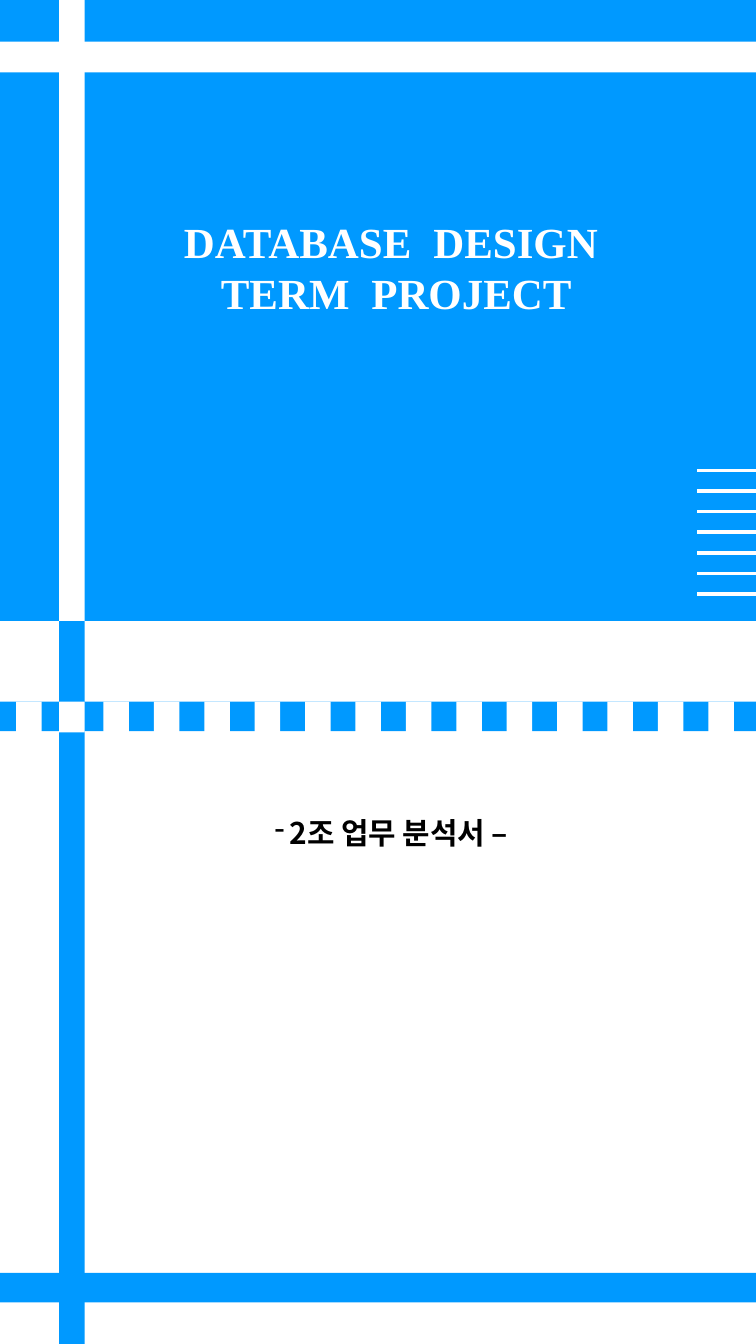
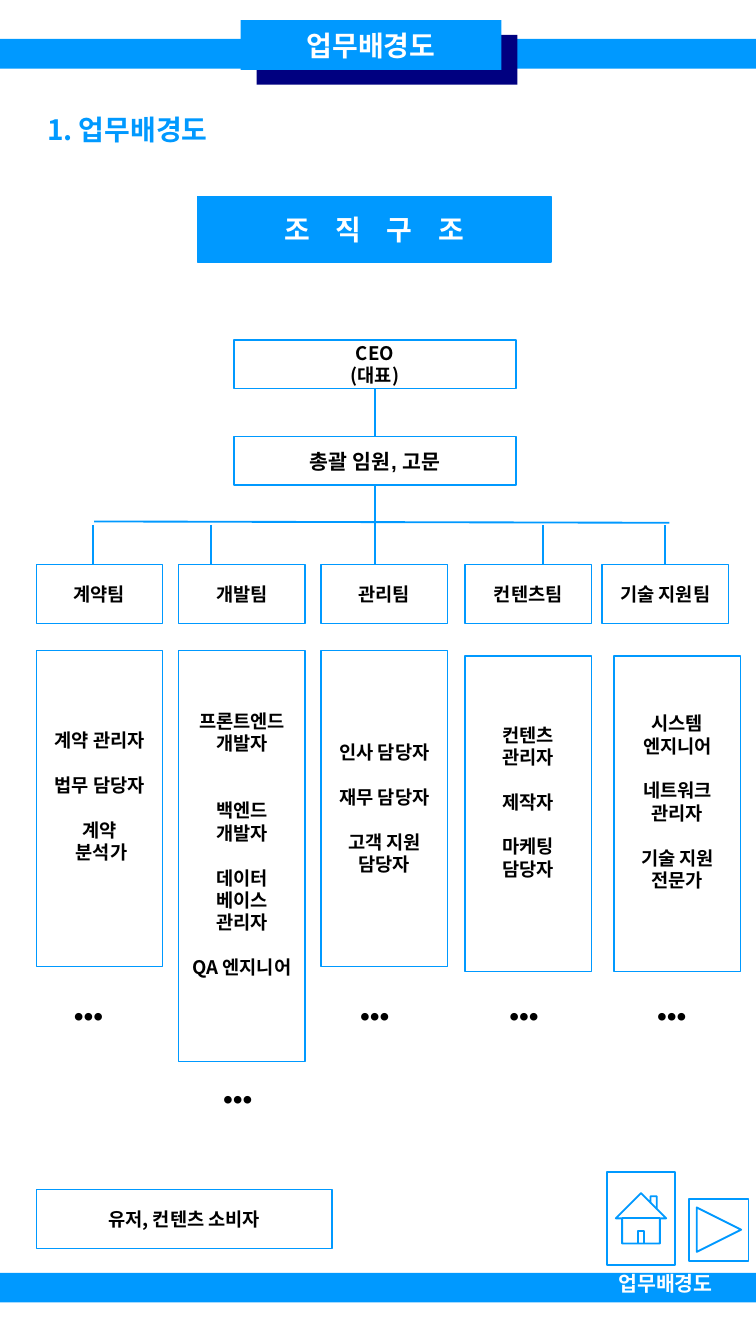
from dataclasses import dataclass

from lxml import etree
from pptx import Presentation
from pptx.dml.color import RGBColor
from pptx.enum.shapes import MSO_CONNECTOR, MSO_SHAPE as Shape
from pptx.enum.text import MSO_ANCHOR as Anchor, MSO_AUTO_SIZE, PP_ALIGN as Align
from pptx.oxml.ns import qn
from pptx.util import Inches, Pt


@dataclass(frozen=True)
class Theme:
    blue: str = "0099FF"
    navy: str = "000080"
    white: str = "FFFFFF"
    black: str = "000000"
    korean: str = "Noto Sans CJK KR"
    serif: str = "Times New Roman"
    sans: str = "Arial"
    cover: int = 23
    subtitle: int = 16
    heading: int = 15
    label: int = 11
    body: int = 10
    leading: float = 1.2


theme = Theme()
HEIGHT = 10
WIDTH = HEIGHT * 9 / 16
BAND_HEIGHT = 0.22
FOOTER_TOP = 9.47

COVER_TITLE = ["DATABASE DESIGN ", "TERM PROJECT"]
COVER_SUBTITLE = "2조 업무 분석서 –"
SECTION = "업무배경도"
CHART_TITLE = "조 직 구 조"
CONSUMERS = "유저, 컨텐츠 소비자"
DOTS = "•••"

LEADERS = [
    # top, lines, face, size
    (2.53, ["CEO", "(대표)"], theme.korean, theme.body),
    (3.25, ["총괄 임원, 고문"], theme.sans, theme.label),
]

# Each role is its text and the number of free lines above it.
TEAMS = [
    {"name": "계약팀", "left": 0.27, "drop": 0.69, "list": (0.27, 4.84, 2.35),
     "dots": (0.47, 7.39), "foot": 0.22,
     "roles": [("계약 관리자", 0), ("법무 담당자", 1), ("계약", 1), (" 분석가", 0)]},
    {"name": "개발팀", "left": 1.33, "drop": 1.57, "list": (1.33, 4.84, 3.06),
     "dots": (1.58, 8.01), "foot": 0.22,
     "roles": [("프론트엔드 개발자", 0), ("백엔드 개발자", 2),
               ("데이터 베이스 관리자", 1), ("QA 엔지니어", 1)]},
    {"name": "관리팀", "left": 2.39, "drop": None, "list": (2.39, 4.84, 2.35),
     "dots": (2.6, 7.39), "foot": 0.04,
     "roles": [("인사 담당자", 0), ("재무 담당자", 1), ("고객 지원 담당자", 1)]},
    {"name": "컨텐츠팀", "left": 3.46, "drop": 4.04, "list": (3.46, 4.88, 2.35),
     "dots": (3.71, 7.39), "foot": 0.22,
     "roles": [("컨텐츠 관리자", 0), ("제작자", 1), ("마케팅 담당자", 1)]},
    {"name": "기술 지원팀", "left": 4.48, "drop": 4.95, "list": (4.57, 4.88, 2.35),
     "dots": (4.81, 7.39), "foot": 0.22,
     "roles": [("시스템 엔지니어", 0), ("네트워크 관리자", 1), ("기술 지원 전문가", 1)]},
]
TEAM_WIDTH, TEAM_HEIGHT, TEAM_TOP = 0.94, 0.44, 4.2
DROP_TOP = 3.91
LEADER_LEFT, LEADER_WIDTH, LEADER_HEIGHT = 1.74, 2.1, 0.36
TRUNK = LEADER_LEFT + LEADER_WIDTH / 2


def inches(*lengths):
    return [Inches(length) for length in lengths]


def set_all(target, values):
    for name, value in values.items():
        setattr(target, name, value)


def add_span(para, text, face, size, color, spacing=0):
    span = para.add_run()
    span.text = text
    set_all(span.font, {"name": face, "size": Pt(size), "bold": True})
    span.font.color.rgb = RGBColor.from_string(color)
    props = span.font._element
    etree.SubElement(props, qn("a:ea")).set("typeface", face)
    if spacing:
        props.set("spc", str(round(spacing * 100)))


def write(shape, lines, size, color=theme.black, face=theme.korean, align=Align.CENTER,
          anchor=Anchor.MIDDLE, foot=0.04, word_gap=0):
    """Fill a shape with lines: strings, or pairs of text and free lines above.

    word_gap widens the space between words by that many points.
    """
    frame = shape.text_frame
    set_all(frame, {
        "word_wrap": True, "auto_size": MSO_AUTO_SIZE.NONE, "vertical_anchor": anchor,
        "margin_left": Inches(0.08), "margin_right": Inches(0.08),
        "margin_top": Inches(0.04), "margin_bottom": Inches(foot)})
    leading = size * theme.leading
    for index, line in enumerate(lines):
        text, free_lines = (line, 0) if isinstance(line, str) else line
        para = frame.add_paragraph() if index else frame.paragraphs[0]
        set_all(para, {"alignment": align, "line_spacing": Pt(leading)})
        if free_lines:
            para.space_before = Pt(leading * free_lines)
        if not word_gap:
            add_span(para, text, face, size, color)
            continue
        for position, word in enumerate(text.split(" ")):
            if position:
                add_span(para, " ", face, size, color, word_gap if word else 0)
            if word:
                add_span(para, word, face, size, color)


def add_box(page, at, fill=None, line=None, kind=Shape.RECTANGLE, weight=0.75):
    box = page.shapes.add_shape(kind, *inches(*at))
    box.shadow.inherit = False
    if fill:
        box.fill.solid()
        box.fill.fore_color.rgb = RGBColor.from_string(fill)
    else:
        box.fill.background()
    if line:
        box.line.color.rgb = RGBColor.from_string(line)
        box.line.width = Pt(weight)
    else:
        box.line.fill.background()
    return box


def add_frame(page, at, lines, size, **options):
    write(add_box(page, at, line=theme.blue), lines, size, **options)


def add_label(page, at, text, size, **options):
    label = page.shapes.add_textbox(*inches(*at))
    write(label, [text], size, anchor=Anchor.TOP, **options)
    return label


def add_line(page, start, end, color=theme.blue, weight=1):
    line = page.shapes.add_connector(MSO_CONNECTOR.STRAIGHT, *inches(*start, *end))
    line.line.color.rgb = RGBColor.from_string(color)
    line.line.width = Pt(weight)
    etree.SubElement(line._element.spPr, qn("a:effectLst"))


def add_band(page, top):
    add_box(page, (0, top, WIDTH, BAND_HEIGHT), theme.blue)


def place_title(page, at, lines, size, **options):
    """Move the title placeholder to its place, in front of the shapes so far."""
    title = page.shapes.title
    set_all(title, dict(zip(("left", "top", "width", "height"), inches(*at))))
    write(title, lines, size, color=theme.white, **options)
    page.shapes._spTree.append(title._element)
    return title


def build_cover(page):
    stripe_left, stripe_width, panel_height = 0.44, 0.19, 4.62
    dash_top, dash_height = 5.22, 0.23
    add_box(page, (0, 0, WIDTH, panel_height), theme.blue)
    add_band(page, dash_top)
    add_band(page, FOOTER_TOP)
    add_box(page, (stripe_left, 4.15, stripe_width, 5.85), theme.blue)
    add_box(page, (stripe_left, 0, stripe_width, panel_height), theme.white)

    first, last, steps = 0.77, 5.27, 12
    pitch = (last - first) / steps
    for left in [0.12, stripe_left] + [first + pitch * i for i in range(steps + 1)]:
        add_box(page, (left, dash_top, stripe_width, dash_height), theme.white)
    add_box(page, (0, 0.31, WIDTH, dash_height), theme.white)

    rule_top, rule_bottom, rule_gaps = 3.5, 4.42, 6
    for i in range(rule_gaps + 1):
        y = rule_top + (rule_bottom - rule_top) / rule_gaps * i
        add_line(page, (WIDTH, y), (5.19, y), theme.white, 2)

    place_title(page, (0.38, 1.56, 5.14, 1.18), COVER_TITLE, theme.cover,
                face=theme.serif, anchor=Anchor.TOP, word_gap=5.75)
    subtitle = add_label(page, (1.67, 6.02, 2.52, 0.35), COVER_SUBTITLE, theme.subtitle)
    props = subtitle.text_frame.paragraphs[0]._p.get_or_add_pPr()
    props.set("marL", "0")
    props.set("indent", str(-Inches(0.11)))
    bullet_color = etree.SubElement(props, qn("a:buClr"))
    etree.SubElement(bullet_color, qn("a:srgbClr")).set("val", theme.black)
    etree.SubElement(props, qn("a:buChar")).set("char", "-")


def add_team(page, team):
    add_frame(page, (team["left"], TEAM_TOP, TEAM_WIDTH, TEAM_HEIGHT),
              [team["name"]], theme.body)
    if team["drop"]:
        add_line(page, (team["drop"], DROP_TOP), (team["drop"], TEAM_TOP))
    left, top, height = team["list"]
    add_frame(page, (left, top, TEAM_WIDTH, height), team["roles"], theme.body,
              foot=team["foot"])
    add_label(page, (*team["dots"], 0.44, 0.33), DOTS, theme.heading,
              face=theme.serif, align=Align.LEFT)


def build_organisation(page):
    add_band(page, 0.29)
    add_band(page, FOOTER_TOP)
    add_box(page, (1.91, 0.26, 1.94, 0.37), theme.navy)
    title = place_title(page, (1.79, 0.15, 1.94, 0.37), [SECTION], theme.heading)
    title.fill.solid()
    title.fill.fore_color.rgb = RGBColor.from_string(theme.blue)

    add_label(page, (0.27, 0.8, 3.48, 0.33), f"1. {SECTION}", theme.heading,
              color=theme.blue, align=Align.LEFT)
    add_label(page, (4.52, 9.42, 1.04, 0.31), SECTION, theme.label,
              color=theme.white, align=Align.LEFT)
    banner = add_box(page, (1.47, 1.46, 2.63, 0.49), theme.blue, theme.blue)
    write(banner, [CHART_TITLE], theme.heading, color=theme.white, word_gap=10.2)

    for top, lines, face, size in LEADERS:
        add_frame(page, (LEADER_LEFT, top, LEADER_WIDTH, LEADER_HEIGHT), lines, size,
                  face=face)
    for (top, *_), end in zip(LEADERS, (LEADERS[1][0], TEAM_TOP)):
        add_line(page, (TRUNK, top + LEADER_HEIGHT), (TRUNK, end))
    add_line(page, (0.7, 3.88), (4.98, 3.89))
    for team in TEAMS:
        add_team(page, team)

    add_frame(page, (0.27, 8.85, 2.2, 0.44), [CONSUMERS], theme.body)
    for kind, at in ((Shape.ACTION_BUTTON_HOME, (4.52, 8.72, 0.5, 0.69)),
                     (Shape.ACTION_BUTTON_FORWARD_OR_NEXT, (5.13, 8.92, 0.44, 0.46))):
        add_box(page, at, line=theme.blue, kind=kind, weight=1)


def main():
    deck = Presentation()
    deck.slide_width, deck.slide_height = inches(WIDTH, HEIGHT)
    title_only = deck.slide_layouts[5]
    for build in (build_cover, build_organisation):
        build(deck.slides.add_slide(title_only))
    deck.save("out.pptx")


if __name__ == "__main__":
    main()
